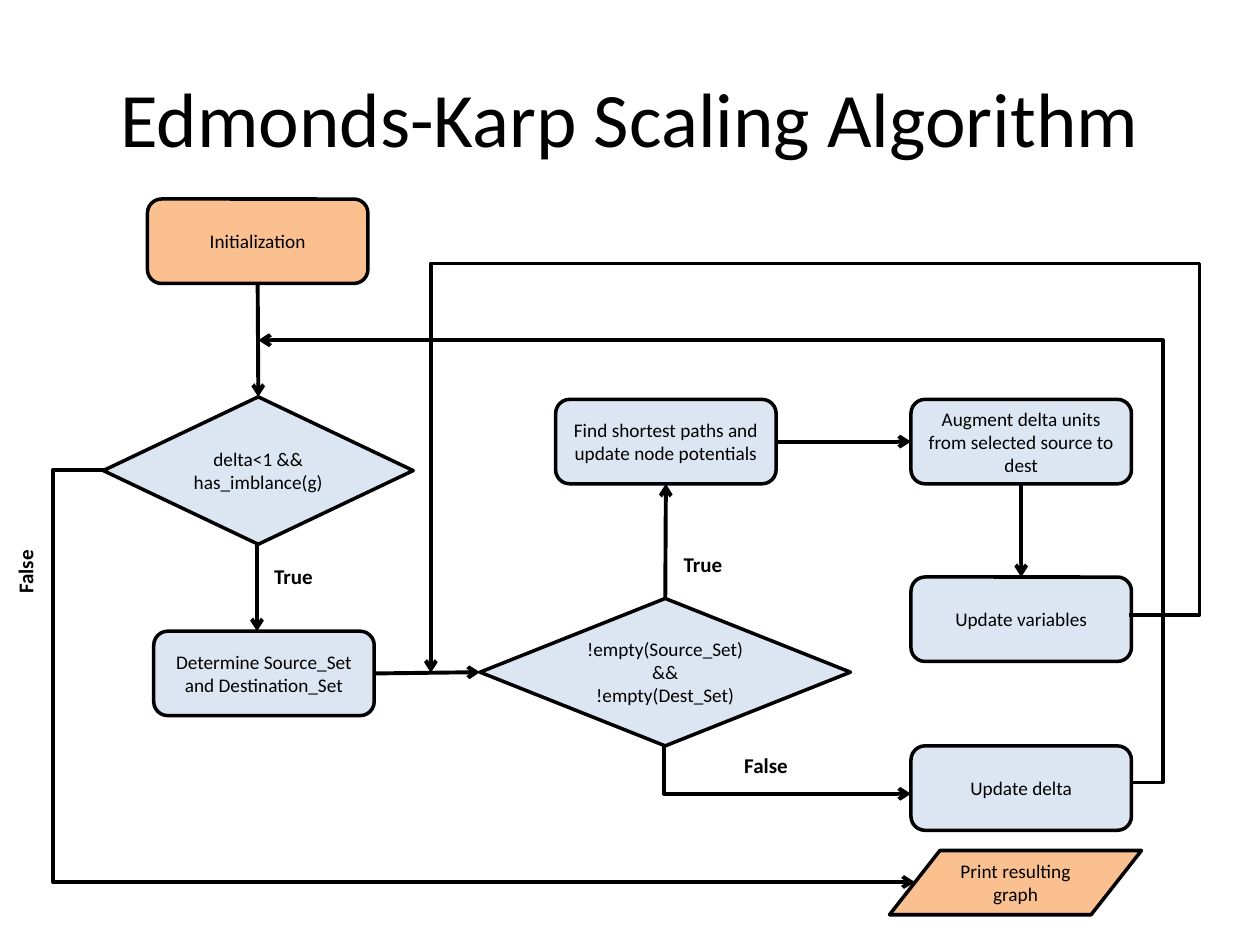
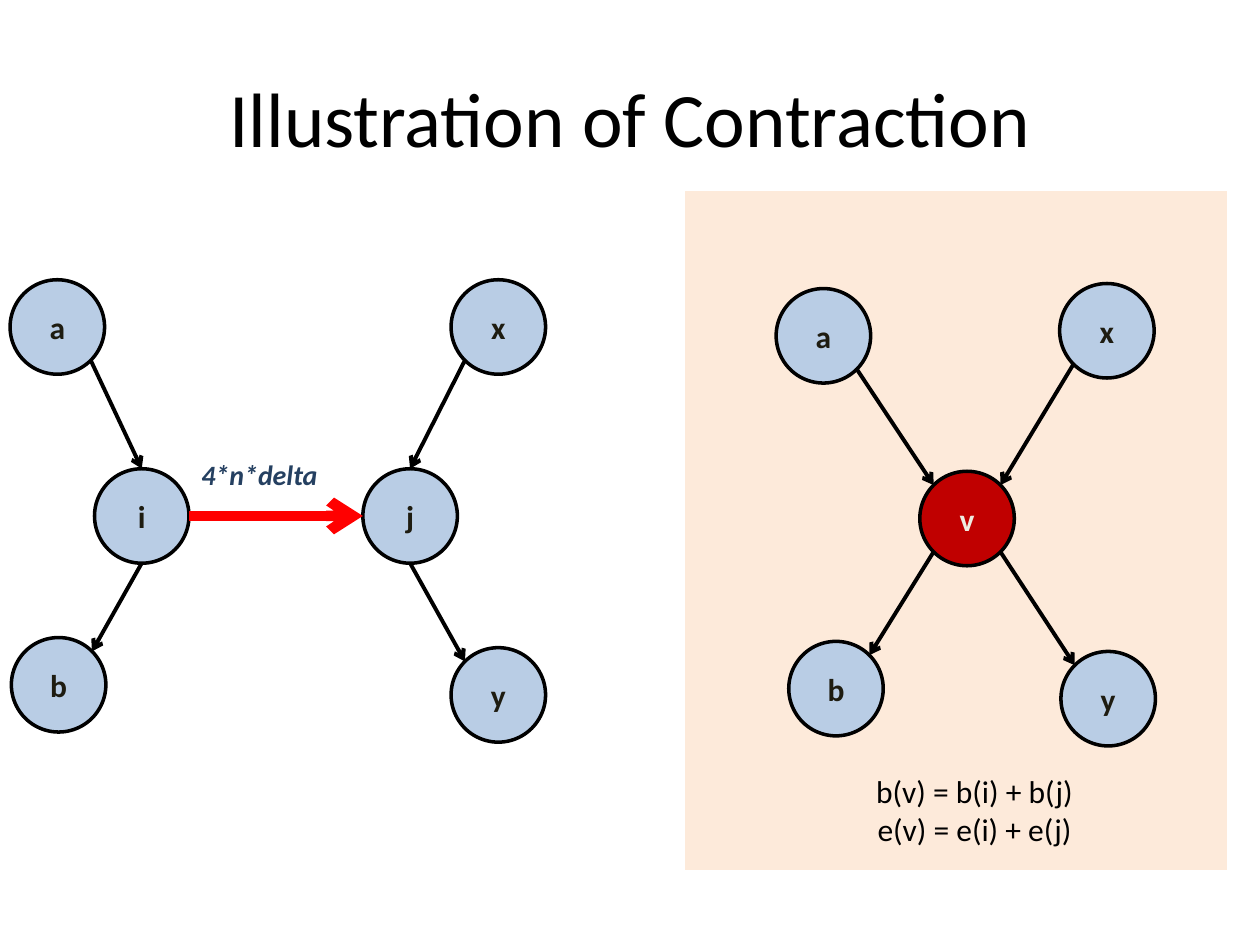
"""Build two slides: a scaling algorithm flowchart and a graph contraction."""
from math import sqrt

from lxml import etree
from pptx import Presentation
from pptx.dml.color import RGBColor
from pptx.enum.shapes import MSO_CONNECTOR, MSO_SHAPE
from pptx.enum.text import MSO_ANCHOR, PP_ALIGN
from pptx.oxml.ns import qn
from pptx.util import Inches, Pt

STEP = MSO_SHAPE.FLOWCHART_ALTERNATE_PROCESS
DECISION = MSO_SHAPE.FLOWCHART_DECISION
OUTPUT = MSO_SHAPE.FLOWCHART_DATA
PANEL = MSO_SHAPE.FLOWCHART_PROCESS
CIRCLE = MSO_SHAPE.OVAL
STRAIGHT = MSO_CONNECTOR.STRAIGHT
MIDDLE = MSO_ANCHOR.MIDDLE
CENTER = PP_ALIGN.CENTER
LEFT = PP_ALIGN.LEFT

BLACK = RGBColor(0x00, 0x00, 0x00)
WHITE = RGBColor(0xFF, 0xFF, 0xFF)
ORANGE = RGBColor(0xFA, 0xC0, 0x90)
PALE_BLUE = RGBColor(0xDC, 0xE6, 0xF2)
NODE_BLUE = RGBColor(0xB9, 0xCD, 0xE5)
PEACH = RGBColor(0xFD, 0xEA, 0xDA)
RED = RGBColor(0xFF, 0x00, 0x00)
DARK_RED = RGBColor(0xC0, 0x00, 0x00)
INK = RGBColor(0x1E, 0x1C, 0x11)
CREAM = RGBColor(0xEE, 0xEC, 0xE1)
NAVY = RGBColor(0x25, 0x40, 0x61)

FONT = "Calibri"
STEP_SIZE = (1.75, 0.67)
NODE = 0.75
TOP_SIDE, LEFT_SIDE, BOTTOM_SIDE, RIGHT_SIDE = range(4)
DIAGONAL = 1 / sqrt(2)
BELOW = (0, 1)
ABOVE = (0, -1)
EAST = (1, 0)
WEST = (-1, 0)
UPPER_LEFT = (-DIAGONAL, -DIAGONAL)
UPPER_RIGHT = (DIAGONAL, -DIAGONAL)
LOWER_LEFT = (-DIAGONAL, DIAGONAL)
LOWER_RIGHT = (DIAGONAL, DIAGONAL)


class Deck:
    """Hold the shared style and the current slide."""

    def __init__(self):
        self.deck = Presentation()
        self.deck.slide_width = Inches(10)
        self.deck.slide_height = Inches(7.5)
        self.page = None

    def add_page(self, title):
        self.page = self.deck.slides.add_slide(self.deck.slide_layouts[5])
        box = self.page.shapes.title
        box.left, box.top = Inches(0.5), Inches(0.3)
        box.width, box.height = Inches(9), Inches(1.25)
        box.text_frame.vertical_anchor = MIDDLE
        self.set_text(box, title, 44)

    def set_text(self, box, text, size, color=BLACK, bold=False, italic=False, align=CENTER):
        box.text_frame.text = text
        for para in box.text_frame.paragraphs:
            para.alignment = align
            for span in para.runs:
                span.font.name = FONT
                span.font.size = Pt(size)
                span.font.bold = bold
                span.font.italic = italic
                span.font.color.rgb = color

    def shape(self, kind, left, top, width, height, fill, line=BLACK):
        box = self.page.shapes.add_shape(
            kind, Inches(left), Inches(top), Inches(width), Inches(height))
        box.shadow.inherit = False
        box.fill.solid()
        box.fill.fore_color.rgb = fill
        box.line.color.rgb = line
        box.line.width = Pt(2)
        box.text_frame.vertical_anchor = MIDDLE
        return box

    def block(self, kind, text, left, top, size=STEP_SIZE, fill=PALE_BLUE):
        box = self.shape(kind, left, top, *size, fill)
        self.set_text(box, text, 11)
        return box

    def node(self, name, left, top, fill=NODE_BLUE, color=INK):
        box = self.shape(CIRCLE, left, top, NODE, NODE, fill)
        self.set_text(box, name, 18, color, bold=True)
        return left + NODE / 2, top + NODE / 2

    def label(self, text, left, top, width, height, size, rotation=0, **style):
        box = self.page.shapes.add_textbox(
            Inches(left), Inches(top), Inches(width), Inches(height))
        box.text_frame.word_wrap = True
        box.rotation = rotation
        self.set_text(box, text, size, **style)

    def branch(self, text, left, top, rotation=0):
        self.label(text, left, top, 1, 0.3, 12, rotation, bold=True)

    def arrow(self, start, end, color=BLACK, width=2.25):
        line = self.page.shapes.add_connector(
            STRAIGHT, *[Inches(value) for value in (*start, *end)])
        line.line.color.rgb = color
        line.line.width = Pt(width)
        properties = line._element.spPr
        etree.SubElement(properties.find(qn("a:ln")), qn("a:tailEnd"), type="arrow")
        etree.SubElement(properties, qn("a:effectLst"))
        return line

    def link(self, source, source_side, target, target_side):
        line = self.arrow((0, 0), (1, 1))
        line.begin_connect(source, source_side)
        line.end_connect(target, target_side)

    def edge(self, source, source_side, target, target_side, **style):
        start, end = (
            [middle + NODE / 2 * step for middle, step in zip(center, side)]
            for center, side in ((source, source_side), (target, target_side)))
        self.arrow(start, end, **style)

    def route(self, points, tip_start, tip_end, width=2):
        corners = [(Inches(x), Inches(y)) for x, y in points]
        builder = self.page.shapes.build_freeform(*corners[0])
        builder.add_line_segments(corners[1:], close=False)
        outline = builder.convert_to_shape()
        outline.shadow.inherit = False
        outline.fill.background()
        outline.line.color.rgb = BLACK
        outline.line.width = Pt(width)
        self.arrow(tip_start, tip_end)


def draw_flowchart(deck):
    deck.add_page("Edmonds-Karp Scaling Algorithm")
    column = 7.23
    start = deck.block(STEP, "Initialization", 1.17, 1.58, fill=ORANGE)
    outer = deck.block(DECISION, "delta<1 && has_imblance(g)", 0.82, 3.15, (2.46, 1.17))
    sets = deck.block(STEP, "Determine Source_Set and Destination_Set", 1.22, 5.01)
    inner = deck.block(
        DECISION, "!empty(Source_Set)\n&&\n!empty(Dest_Set)", 3.81, 4.75, (2.94, 1.17))
    search = deck.block(STEP, "Find shortest paths and update node potentials", 4.41, 3.17)
    augment = deck.block(
        STEP, "Augment delta units from selected source to dest", column, 3.17)
    update = deck.block(STEP, "Update variables", column, 4.58)
    deck.block(STEP, "Update delta", column, 5.92)
    deck.block(OUTPUT, "Print resulting graph", 7.06, 6.75, (2, 0.51), ORANGE)

    deck.link(start, BOTTOM_SIDE, outer, TOP_SIDE)
    deck.arrow((2.04, 4.32), (2.04, 5.01))
    deck.link(sets, RIGHT_SIDE, inner, LEFT_SIDE)
    deck.link(inner, TOP_SIDE, search, BOTTOM_SIDE)
    deck.link(search, RIGHT_SIDE, augment, LEFT_SIDE)
    deck.link(augment, BOTTOM_SIDE, update, TOP_SIDE)

    deck.route([(0.83, 3.73), (0.42, 3.73), (0.42, 7), (6.6, 7)],
               (6.6, 7), (7.26, 7), width=2.25)
    deck.route([(5.27, 5.92), (5.27, 6.3), (6.63, 6.3)], (6.6, 6.3), (column, 6.3))
    deck.route([(8.96, 4.88), (9.52, 4.88), (9.52, 2.09), (3.42, 2.09), (3.42, 5.25)],
               (3.42, 4.78), (3.42, 5.34))
    deck.route([(8.99, 6.21), (9.23, 6.21), (9.23, 2.7), (2.64, 2.7)],
               (2.64, 2.7), (2.05, 2.7))

    deck.branch("True", 1.83, 4.42)
    deck.branch("True", 5.08, 4.33)
    deck.branch("False", -0.3, 4.39, rotation=270)
    deck.branch("False", 5.58, 5.92)


def draw_contraction(deck):
    deck.add_page("Illustration of Contraction")
    deck.shape(PANEL, 5.42, 1.5, 4.33, 5.42, PEACH, WHITE)

    i = deck.node("i", 0.75, 3.72)
    j = deck.node("j", 2.88, 3.72)
    x = deck.node("x", 3.58, 2.22)
    y = deck.node("y", 3.58, 5.14)
    a = deck.node("a", 0.08, 2.22)
    b = deck.node("b", 0.09, 5.06)
    deck.edge(i, EAST, j, WEST, color=RED, width=6)
    deck.edge(x, LOWER_LEFT, j, ABOVE)
    deck.edge(j, BELOW, y, UPPER_LEFT)
    deck.edge(a, LOWER_RIGHT, i, ABOVE)
    deck.edge(i, BELOW, b, UPPER_RIGHT)

    v = deck.node("v", 7.3, 3.74, DARK_RED, CREAM)
    x = deck.node("x", 8.41, 2.25)
    y = deck.node("y", 8.42, 5.17)
    a = deck.node("a", 6.16, 2.29)
    b = deck.node("b", 6.26, 5.09)
    deck.edge(x, LOWER_LEFT, v, UPPER_RIGHT)
    deck.edge(v, LOWER_RIGHT, y, UPPER_LEFT)
    deck.edge(a, LOWER_RIGHT, v, UPPER_LEFT)
    deck.edge(v, LOWER_LEFT, b, UPPER_RIGHT)

    deck.label("4*n*delta", 1.5, 3.58, 1.33, 0.37, 16,
               color=NAVY, bold=True, italic=True, align=LEFT)
    deck.label("b(v) = b(i) + b(j)\ne(v) = e(i) + e(j)", 6.13, 6.08, 3.21, 0.71, 18)


show = Deck()
draw_flowchart(show)
draw_contraction(show)
show.deck.save("out.pptx")
